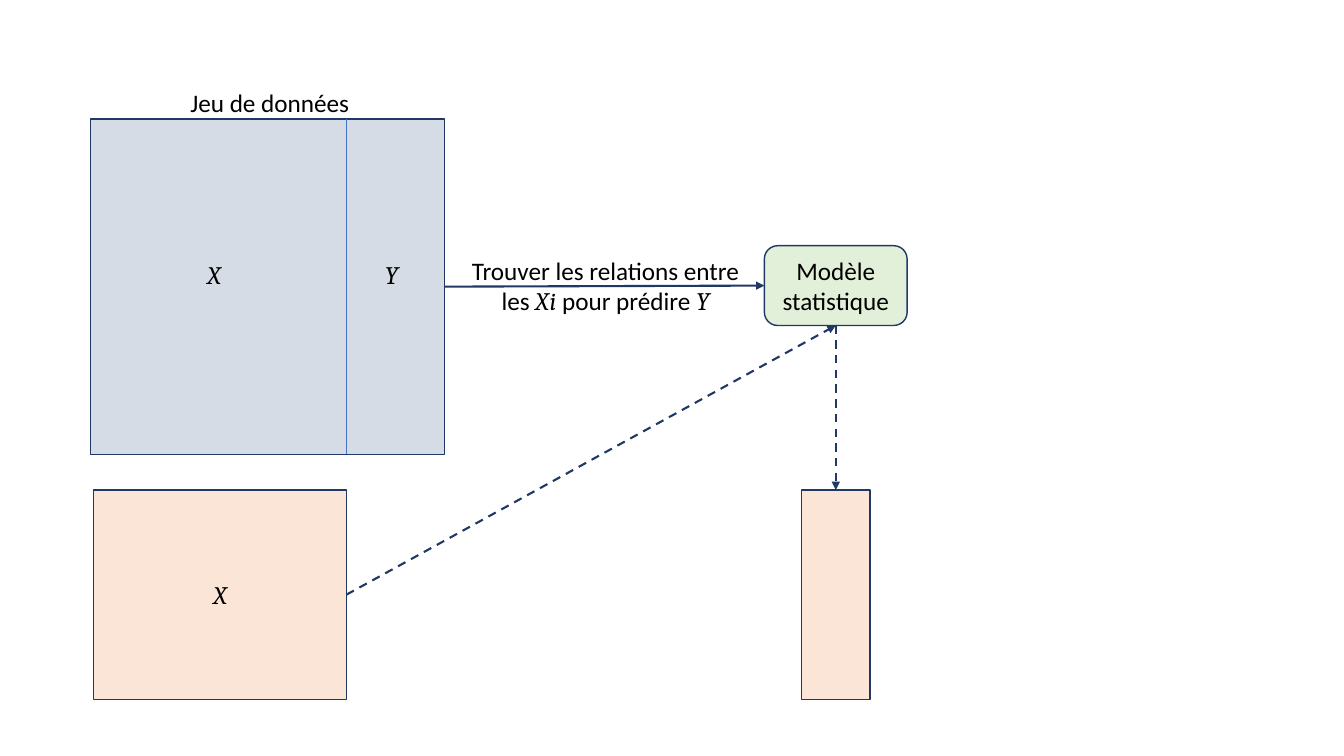
from dataclasses import dataclass

from lxml import etree
from pptx import Presentation
from pptx.dml.color import RGBColor
from pptx.enum.dml import MSO_LINE
from pptx.enum.shapes import MSO_CONNECTOR, MSO_SHAPE
from pptx.enum.text import MSO_ANCHOR, MSO_AUTO_SIZE, PP_ALIGN
from pptx.oxml.ns import qn
from pptx.util import Pt

RECTANGLE = MSO_SHAPE.RECTANGLE
ROUNDED = MSO_SHAPE.ROUNDED_RECTANGLE
STRAIGHT = MSO_CONNECTOR.STRAIGHT
DASH = MSO_LINE.DASH
LEFT, CENTER = PP_ALIGN.LEFT, PP_ALIGN.CENTER
MIDDLE = MSO_ANCHOR.MIDDLE
GROW = MSO_AUTO_SIZE.SHAPE_TO_FIT_TEXT
TOP_SIDE, LEFT_SIDE, BOTTOM_SIDE, RIGHT_SIDE = range(4)


@dataclass(frozen=True)
class Theme:
    text: str = "000000"
    outline: str = "203864"
    divider: str = "4472C4"
    training: str = "D6DCE5"
    prediction: str = "FBE5D6"
    model: str = "E2F0D9"
    body_font: str = "Calibri"
    symbol_font: str = "Cambria"
    size: float = 18
    outline_width: float = 1
    arrow_width: float = 1.5
    divider_width: float = 0.5


THEME = Theme()


def colour(value):
    return RGBColor.from_string(value)


def write_text(frame, *pieces, symbols=(), align=LEFT, wrap=True):
    frame.word_wrap = wrap
    paragraph = frame.paragraphs[0]
    paragraph.alignment = align
    for piece in pieces:
        run = paragraph.add_run()
        run.text = piece
        run.font.size = Pt(THEME.size)
        run.font.color.rgb = colour(THEME.text)
        run.font.italic = piece in symbols
        run.font.name = THEME.symbol_font if piece in symbols else THEME.body_font


def add_label(slide, left, top, width, height, *pieces, **text_format):
    label = slide.shapes.add_textbox(Pt(left), Pt(top), Pt(width), Pt(height))
    write_text(label.text_frame, *pieces, **text_format)
    label.text_frame.auto_size = GROW


def add_block(slide, left, top, width, height, fill, *pieces, kind=RECTANGLE, symbols=()):
    block = slide.shapes.add_shape(kind, Pt(left), Pt(top), Pt(width), Pt(height))
    block.shadow.inherit = False
    block.fill.solid()
    block.fill.fore_color.rgb = colour(fill)
    block.line.color.rgb = colour(THEME.outline)
    block.line.width = Pt(THEME.outline_width)
    block.text_frame.vertical_anchor = MIDDLE
    write_text(block.text_frame, *pieces, symbols=symbols, align=CENTER)
    return block


def add_line(slide, start, end, line_colour, width):
    line = slide.shapes.add_connector(STRAIGHT, *map(Pt, start + end))
    line.line.color.rgb = colour(line_colour)
    line.line.width = Pt(width)
    etree.SubElement(line._element.spPr, qn("a:effectLst"))
    return line


def add_arrow(slide, source, source_side, target, target_side, dash=None):
    arrow = add_line(slide, (0, 0), (0, 0), THEME.outline, THEME.arrow_width)
    arrow.begin_connect(source, source_side)
    arrow.end_connect(target, target_side)
    if dash:
        arrow.line.dash_style = dash
    etree.SubElement(arrow.line._get_or_add_ln(), qn("a:tailEnd"), type="triangle")


def main():
    deck = Presentation()
    deck.slide_width, deck.slide_height = Pt(960), Pt(540)
    slide = deck.slides.add_slide(deck.slide_layouts[6])

    data_top, data_height = 85, 239.5
    column_split = 247.5
    new_top, new_height = 350, 149.5

    data_set = add_block(slide, 64.8, data_top, 252.7, data_height, THEME.training)
    add_line(slide, (column_split, data_top), (column_split, data_top + data_height),
             THEME.divider, THEME.divider_width)
    for symbol, left in (("X", 141), ("Y", 268)):
        add_label(slide, left, 181.5, 29.5, 29, symbol, symbols=(symbol,))
    add_label(slide, 128.9, 58.5, 129.6, 29, "Jeu de données", wrap=False)

    new_data = add_block(slide, 67, new_top, column_split - 67, new_height,
                         THEME.prediction, "X", symbols=("X",))
    predicted = add_block(slide, 572.5, new_top, 49, new_height, THEME.prediction)
    model = add_block(slide, 546, 175.5, 102, 57, THEME.model,
                      "Modèle statistique", kind=ROUNDED)

    add_arrow(slide, data_set, RIGHT_SIDE, model, LEFT_SIDE)
    add_label(slide, 326, 178.5, 213, 51, "Trouver les relations entre les ", "Xi",
              " pour prédire ", "Y", symbols=("Xi", "Y"), align=CENTER)
    add_arrow(slide, new_data, RIGHT_SIDE, model, BOTTOM_SIDE, dash=DASH)
    add_arrow(slide, model, BOTTOM_SIDE, predicted, TOP_SIDE, dash=DASH)

    deck.save("out.pptx")


if __name__ == "__main__":
    main()
